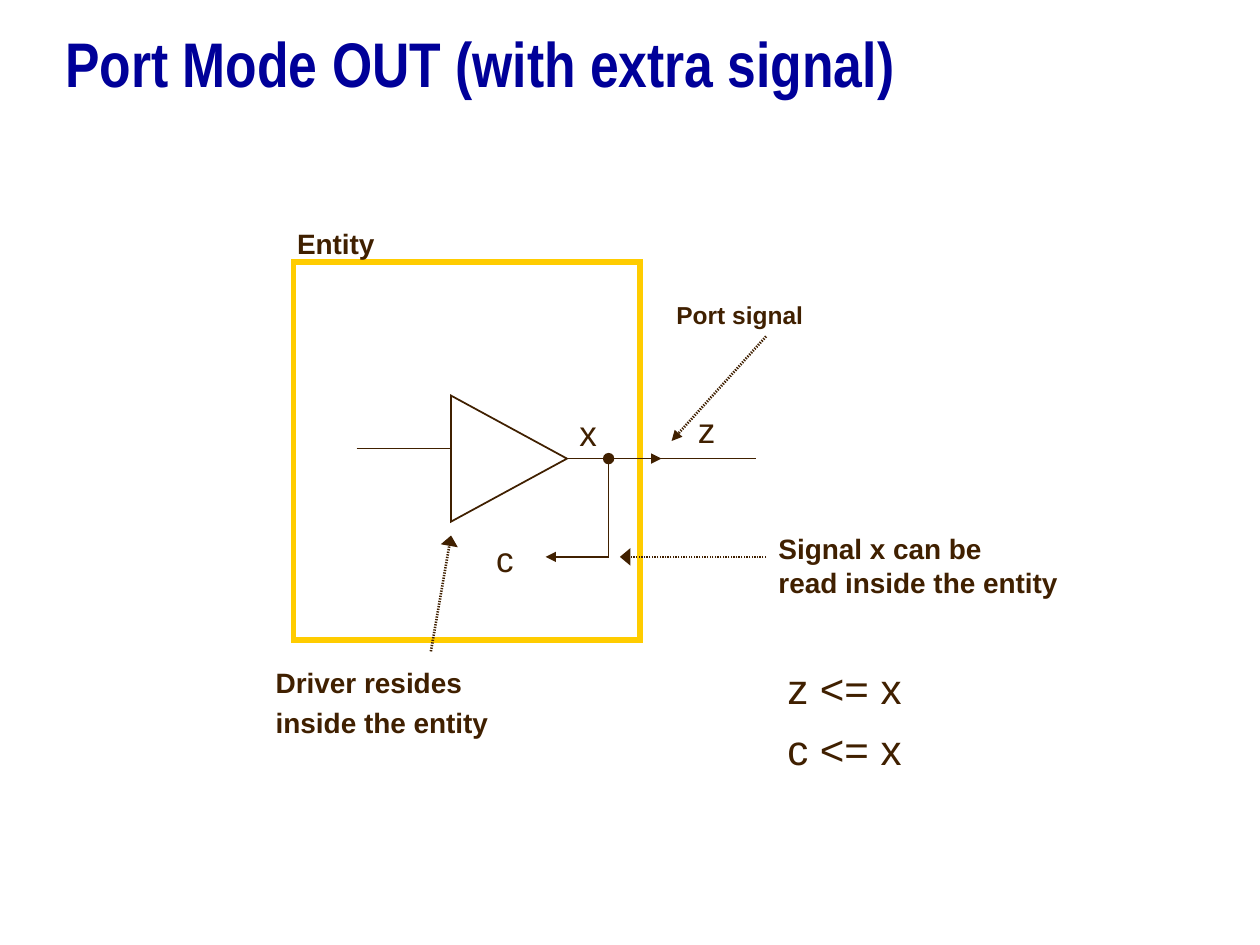
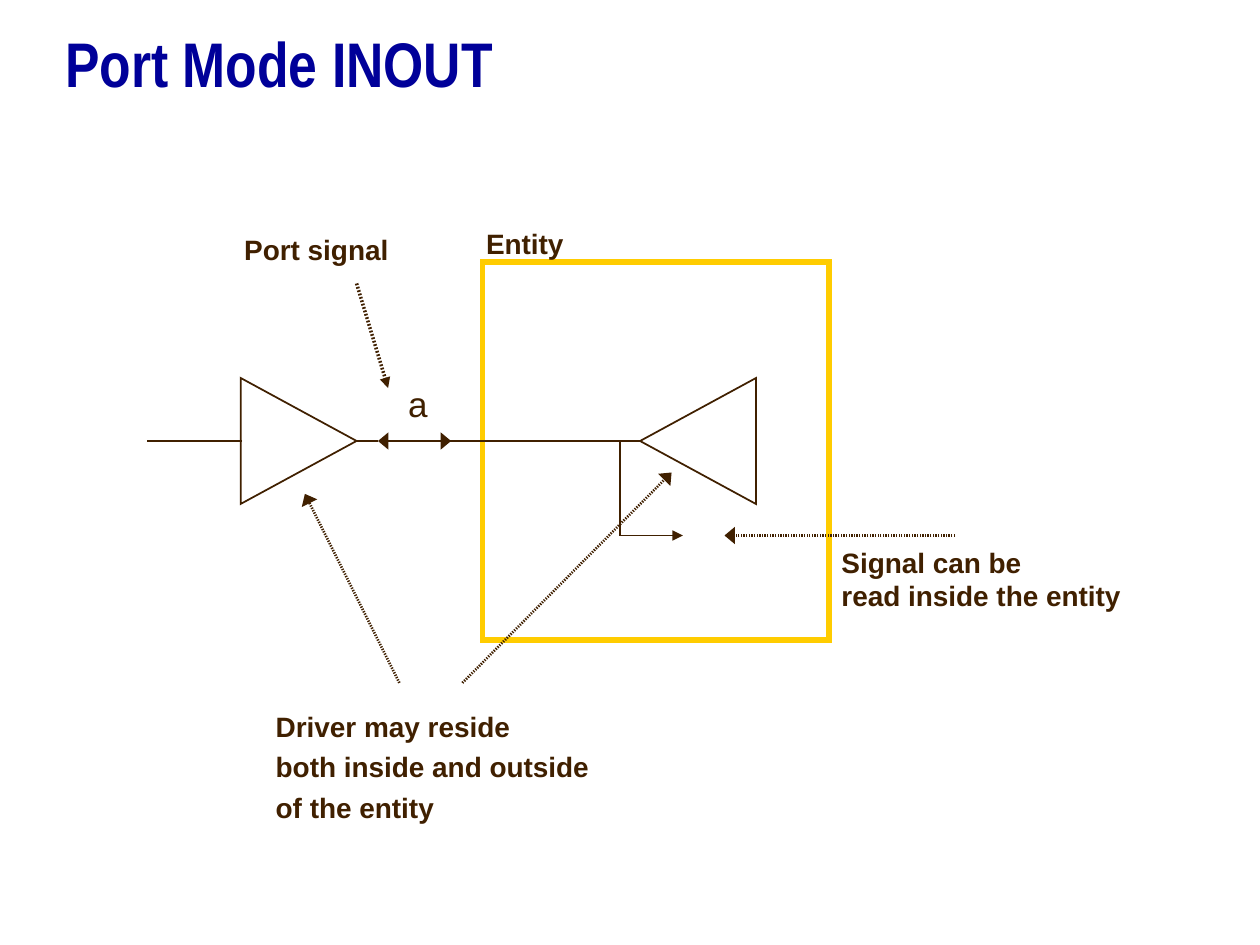
from lxml.etree import SubElement
from pptx import Presentation
from pptx.dml.color import RGBColor
from pptx.enum.shapes import MSO_CONNECTOR as CONNECTOR, MSO_SHAPE as SHAPE
from pptx.enum.text import MSO_ANCHOR as ANCHOR, PP_ALIGN as ALIGN
from pptx.oxml.ns import qn
from pptx.util import Inches, Pt

INK = "402000"
GOLD = "FFCC00"
NAVY = "000099"
BODY_FONT = "Arial"
TITLE_FONT = "Arial Narrow"

DRIVER_BASE, DRIVER_DEPTH = 1, 0.92
ENTITY_TOP, ENTITY_WIDTH, ENTITY_HEIGHT = 2.08, 2.75, 3


def rgb(value):
    return RGBColor.from_string(value)


def write(frame, text, size=16, bold=True, color=INK, font=BODY_FONT, gap=0):
    """Fill a text frame, one paragraph per line, with a gap between them."""
    frame.text = text
    for index, paragraph in enumerate(frame.paragraphs):
        paragraph.alignment = ALIGN.LEFT
        paragraph.space_before = Pt(gap if index else 0)
        paragraph.font.size = Pt(size)
        paragraph.font.bold = bold
        paragraph.font.name = font
        paragraph.font.color.rgb = rgb(color)


def add_label(slide, text, left, top, width, height, **style):
    box = slide.shapes.add_textbox(
        Inches(left), Inches(top), Inches(width), Inches(height))
    box.text_frame.word_wrap = True
    write(box.text_frame, text, **style)


def add_signal_name(slide, name, left, top):
    add_label(slide, name, left, top, 0.5, 0.44, size=20, bold=False)


def add_outline(slide, kind, left, top, width, height,
                color=INK, weight=1, fill=None):
    shape = slide.shapes.add_shape(
        kind, Inches(left), Inches(top), Inches(width), Inches(height))
    shape.shadow.inherit = False
    shape.line.color.rgb = rgb(color)
    shape.line.width = Pt(weight)
    # Sharp corners
    SubElement(shape.element.spPr.find(qn("a:ln")), qn("a:miter"), lim="800000")
    if fill:
        shape.fill.solid()
        shape.fill.fore_color.rgb = rgb(fill)
    else:
        shape.fill.background()
    return shape


def add_entity(slide, left):
    """The gold frame of an entity with its caption above."""
    add_outline(slide, SHAPE.RECTANGLE, left, ENTITY_TOP,
                ENTITY_WIDTH, ENTITY_HEIGHT, color=GOLD, weight=3)
    add_label(slide, "Entity", left - 0.07, 1.75, 1.1, 0.37)


def add_driver(slide, tip_x, tip_y, points_right=True):
    """A triangle turned on its side, placed by its output tip."""
    side = 1 if points_right else -1
    center_x = tip_x - side * DRIVER_DEPTH / 2
    triangle = add_outline(
        slide, SHAPE.FLOWCHART_EXTRACT,
        center_x - DRIVER_BASE / 2, tip_y - DRIVER_DEPTH / 2,
        DRIVER_BASE, DRIVER_DEPTH)
    triangle.rotation = 90 if points_right else 270


def add_wire(slide, start, end, weight=1, head=None, dotted=False):
    """A straight line; head is the arrowhead width, "med" or "lg"."""
    wire = slide.shapes.add_connector(
        CONNECTOR.STRAIGHT, *(Inches(value) for value in (*start, *end)))
    wire.line.color.rgb = rgb(INK)
    wire.line.width = Pt(weight)
    properties = wire.element.spPr
    stroke = properties.find(qn("a:ln"))
    if dotted:
        # Fine dots: half a line width on, half off
        dashes = SubElement(stroke, qn("a:custDash"))
        SubElement(dashes, qn("a:ds"), d="50000", sp="50000")
    if head:
        SubElement(stroke, qn("a:tailEnd"), type="triangle", w=head, len="med")
    SubElement(properties, qn("a:effectLst"))


def add_pointer(slide, start, end, weight=1.5, head="lg"):
    add_wire(slide, start, end, weight, head, dotted=True)


def new_slide(deck, heading):
    slide = deck.slides.add_slide(deck.slide_layouts[5])
    title = slide.shapes.title
    title.left, title.top = Inches(0.42), Inches(0.08)
    title.width, title.height = Inches(9.17), Inches(0.83)
    title.text_frame.vertical_anchor = ANCHOR.MIDDLE
    write(title.text_frame, heading, size=36, color=NAVY, font=TITLE_FONT)
    return slide


def build_out_mode(deck):
    slide = new_slide(deck, "Port Mode OUT (with extra signal)")
    add_entity(slide, 2.33)

    # Driver with its input, output and feedback wires
    output_y, read_y, node_x = 3.64, 4.42, 4.83
    add_wire(slide, (2.83, 3.56), (3.58, 3.56))
    add_driver(slide, 4.5, output_y)
    add_wire(slide, (4.5, output_y), (5.25, output_y), head="med")
    add_wire(slide, (5.17, output_y), (6, output_y))
    add_wire(slide, (node_x, output_y), (node_x, read_y))
    add_wire(slide, (node_x, read_y), (4.33, read_y), head="med")
    add_outline(slide, SHAPE.OVAL, node_x - 0.04, output_y - 0.04,
                0.08, 0.08, weight=0.75, fill=INK)
    add_signal_name(slide, "x", 4.5, 3.22)
    add_signal_name(slide, "c", 3.84, 4.22)
    add_signal_name(slide, "z", 5.44, 3.19)

    # Remarks and their pointers
    add_label(slide, "Port signal", 5.27, 2.33, 1.5, 0.34, size=14)
    add_pointer(slide, (6.08, 2.67), (5.33, 3.5), head="med")
    add_label(slide, "Driver resides\ninside the entity",
              2.09, 5.23, 2.2, 0.69, gap=4)
    add_pointer(slide, (3.42, 5.17), (3.58, 4.25))
    add_label(slide, "Signal x can be\nread inside the entity",
              6.08, 4.17, 3.58, 0.64)
    add_pointer(slide, (6.08, read_y), (4.92, read_y))

    # Assignments
    add_label(slide, "z <= x\nc <= x", 6.15, 5.21, 1.4, 0.99,
              size=24, bold=False, gap=6)


def build_inout_mode(deck):
    slide = new_slide(deck, "Port Mode INOUT")
    add_entity(slide, 3.83)

    # Two drivers facing each other on one bus
    bus_y, read_y, tap_x = 3.5, 4.25, 4.92
    add_wire(slide, (1.17, bus_y), (1.92, bus_y))
    add_driver(slide, 2.83, bus_y)
    add_driver(slide, 5.08, bus_y, points_right=False)
    add_wire(slide, (2.83, bus_y), (3, bus_y))
    add_wire(slide, (4.17, bus_y), (3, bus_y), weight=0.75, head="lg")
    add_wire(slide, (3.17, bus_y), (3.58, bus_y), head="lg")
    add_wire(slide, (4.17, bus_y), (5.08, bus_y))
    add_wire(slide, (tap_x, bus_y), (tap_x, read_y))
    add_wire(slide, (tap_x, read_y), (5.42, read_y), head="med")
    add_signal_name(slide, "a", 3.14, 2.99)

    # Remarks and their pointers
    add_label(slide, "Port signal", 1.84, 1.8, 1.7, 0.37)
    add_pointer(slide, (2.83, 2.25), (3.08, 3.08), weight=2, head="med")
    add_label(slide, "Driver may reside\nboth inside and outside\nof the entity",
              2.09, 5.58, 3, 1.01, gap=4)
    add_pointer(slide, (3.17, 5.42), (2.42, 3.92))
    add_pointer(slide, (3.67, 5.42), (5.33, 3.75))
    add_label(slide, "Signal can be\nread inside the entity",
              6.58, 4.28, 3.42, 0.64)
    add_pointer(slide, (7.58, read_y), (5.75, read_y))


def main():
    deck = Presentation()
    deck.slide_width, deck.slide_height = Inches(10), Inches(7.5)
    build_out_mode(deck)
    build_inout_mode(deck)
    deck.save("out.pptx")


if __name__ == "__main__":
    main()
